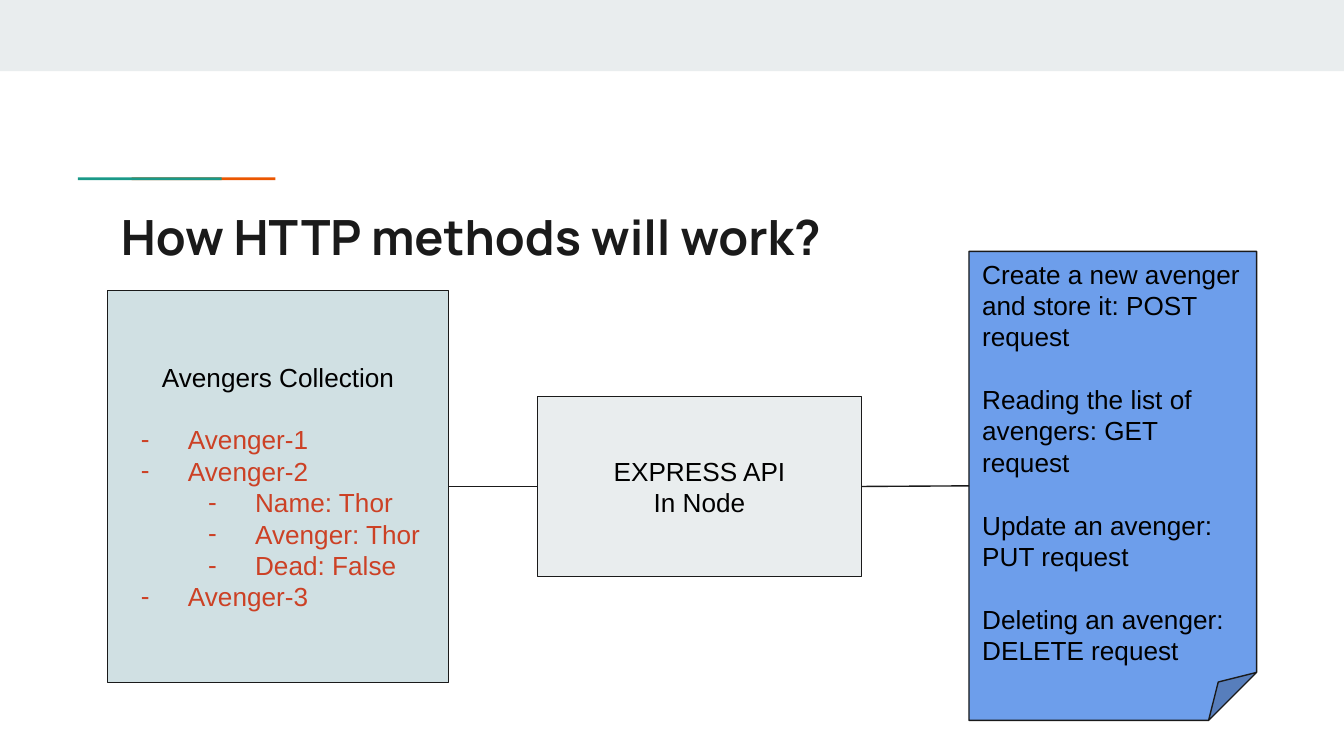
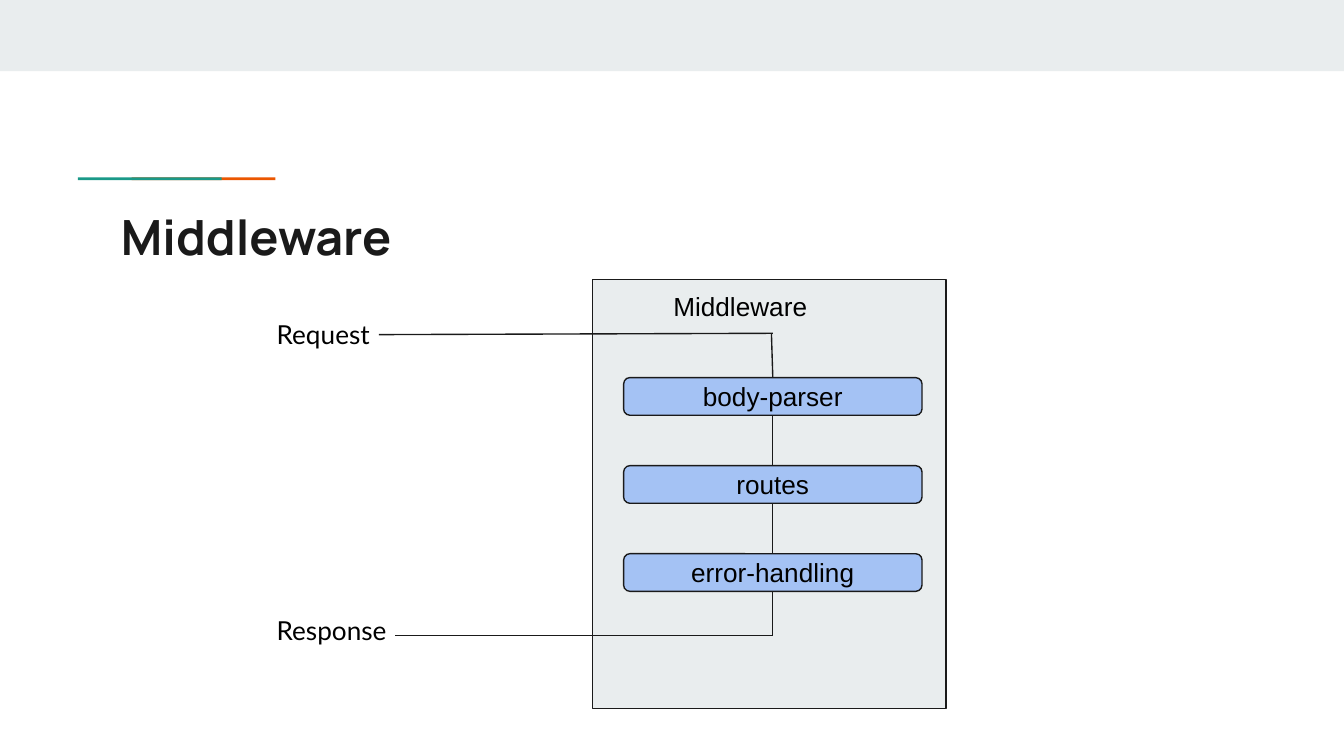
from dataclasses import dataclass
from lxml.etree import SubElement as Sub
from pptx import Presentation
from pptx.dml.color import RGBColor as RGB
from pptx.enum.shapes import MSO_CONNECTOR as Conn, MSO_SHAPE as Kind
from pptx.enum.text import MSO_ANCHOR as Anchor, MSO_AUTO_SIZE as Fit, PP_ALIGN as Align
from pptx.oxml.ns import qn
from pptx.util import Inches, Pt


@dataclass(frozen=True)
class Theme:
    ink: str = "1A1A1A"
    text: str = "000000"
    band: str = "E9EDEE"
    teal: str = "1A9988"
    orange: str = "EB5600"
    store: str = "D0E0E3"
    item: str = "CC4125"
    note: str = "6D9EEB"
    pill: str = "A4C2F4"
    head: str = "Manrope"
    body: str = "Arial"
    label: str = "Lato"
    big: float = 26
    size: float = 14
    gap: float = 16.8
    line: float = 0.75


T = Theme()


# Shared helpers
def assign(obj, **vals):
    for key, val in vals.items():
        setattr(obj, key, val)


def place(box):
    return [Inches(v) for v in box]


def frame(tf, anchor=Anchor.MIDDLE, **more):
    vals = {f"margin_{side}": Inches(0.1) for side in ("left", "right", "top", "bottom")}
    vals.update(word_wrap=True, auto_size=Fit.NONE, vertical_anchor=anchor)
    assign(tf, **{**vals, **more})
    return tf


def write(par, text, font=T.body, size=T.size, color=T.text, bold=False,
          align=Align.LEFT, gap=0):
    par.text = text
    assign(par, alignment=align, space_before=Pt(gap))
    for run in par.runs:
        assign(run.font, name=font, size=Pt(size), bold=bold)
        run.font.color.rgb = RGB.from_string(color)
    return par


def bullet(par, level):
    par.level = level
    props = par._p.get_or_add_pPr()
    props.set("marL", str(Inches(0.5 * (level + 1))))
    props.set("indent", str(Inches(-0.35)))
    Sub(Sub(props, qn("a:buClr")), qn("a:srgbClr")).set("val", T.item)
    Sub(props, qn("a:buSzPts")).set("val", str(T.size * 100))
    Sub(props, qn("a:buFont")).set("typeface", T.body)
    Sub(props, qn("a:buChar")).set("char", "-")


def block(slide, box, fill, kind=Kind.RECTANGLE, edge=True):
    shape = slide.shapes.add_shape(kind, *place(box))
    shape.shadow.inherit = False
    shape.fill.solid()
    shape.fill.fore_color.rgb = RGB.from_string(fill)
    if edge:
        shape.line.color.rgb = RGB.from_string(T.ink)
        shape.line.width = Pt(T.line)
    else:
        shape.line.fill.background()
    frame(shape.text_frame)
    return shape


def wire(slide, start=(0, 0), end=(0, 0), tail=None, tip=None):
    """Line between points, or glued to (shape, site) pairs."""
    link = slide.shapes.add_connector(Conn.STRAIGHT, *place(start + end))
    if tail:
        link.begin_connect(*tail)
    if tip:
        link.end_connect(*tip)
    link.line.color.rgb = RGB.from_string(T.ink)
    link.line.width = Pt(T.line)
    Sub(link.element.find(qn("p:spPr")), qn("a:effectLst"))


# Layout: top band and two-colour rule, behind every slide
def dress(layout, slide):
    parts = [((0, 0, 10, 0.53), T.band),
             ((0.98, 1.32, 1.07, 0.02), T.orange),
             ((0.58, 1.32, 1.07, 0.02), T.teal)]
    for spot, (box, fill) in enumerate(parts):
        shape = block(slide, box, fill, edge=False)
        layout.shapes.element.insert(2 + spot, shape.element)


def head(slide, text):
    title = slide.shapes.title
    names = ("left", "top", "width", "height")
    assign(title, **dict(zip(names, place((0.8, 1.44, 8.41, 0.59)))))
    tf = frame(title.text_frame, Anchor.TOP)
    write(tf.paragraphs[0], text, T.head, T.big, T.ink, True)


# Slide 1 regions
def store(slide, box):
    shape = block(slide, box, T.store)
    tf = shape.text_frame
    write(tf.paragraphs[0], "Avengers Collection", align=Align.CENTER)
    items = [("Avenger-1", 0), ("Avenger-2", 0), ("Name: Thor", 1),
             ("Avenger: Thor", 1), ("Dead: False", 1), ("Avenger-3", 0)]
    for spot, (text, level) in enumerate(items):
        gap = 0 if spot else T.gap
        bullet(write(tf.add_paragraph(), text, color=T.item, gap=gap), level)
    return shape


def server(slide, box):
    shape = block(slide, box, T.band)
    tf = shape.text_frame
    write(tf.paragraphs[0], "EXPRESS API", align=Align.CENTER)
    write(tf.add_paragraph(), "In Node", align=Align.CENTER)
    return shape


def note(slide, box):
    shape = block(slide, box, T.note, Kind.FOLDED_CORNER)
    tf = shape.text_frame
    lines = ["Create a new avenger and store it: POST request",
             "Reading the list of avengers: GET request",
             "Update an avenger: PUT request",
             "Deleting an avenger:\vDELETE request"]
    for spot, text in enumerate(lines):
        par = tf.add_paragraph() if spot else tf.paragraphs[0]
        write(par, text, gap=T.gap if spot else 0)
    return shape


def methods(slide):
    head(slide, "How HTTP methods will work?")
    data = store(slide, (0.8, 2.16, 2.54, 2.92))
    api = server(slide, (4, 2.95, 2.41, 1.34))
    calls = note(slide, (7.21, 1.87, 2.14, 3.49))
    wire(slide, tail=(calls, 1), tip=(api, 3))
    wire(slide, tail=(api, 1), tip=(data, 3))


# Slide 2 regions
def stack(slide, box):
    """Panel with an even column of steps; returns the steps."""
    left, top = box[:2]
    panel = block(slide, box, T.band)
    tf = frame(panel.text_frame, Anchor.TOP, margin_left=Inches(0.6),
               margin_top=Inches(0.08))
    write(tf.paragraphs[0], "Middleware")
    steps = []
    for spot, text in enumerate(["body-parser", "routes", "error-handling"]):
        pill = block(slide, (left + 0.23, top + 0.73 + spot * 1.31 / 2, 2.22, 0.28),
                     T.pill, Kind.ROUNDED_RECTANGLE)
        write(pill.text_frame.paragraphs[0], text, align=Align.CENTER)
        steps.append(pill)
    return steps


def label(slide, box, text):
    tf = frame(slide.shapes.add_textbox(*place(box)).text_frame, Anchor.TOP)
    write(tf.paragraphs[0], text, T.label)


def chain(slide):
    head(slide, "Middleware")
    steps = stack(slide, (4.41, 2.08, 2.63, 3.19))
    mid, low = 5.75, 4.73
    # Request in, down the steps, response out
    wire(slide, (2.82, 2.49), (mid, 2.48))
    wire(slide, (mid - 0.01, 2.48), tip=(steps[0], 0))
    wire(slide, tail=(steps[0], 2), tip=(steps[1], 0))
    wire(slide, tail=(steps[2], 0), tip=(steps[1], 2))
    wire(slide, end=(mid, low), tail=(steps[2], 2))
    wire(slide, (mid, low), (2.94, low))
    label(slide, (1.96, 2.27, 1.45, 0.28), "Request")
    label(slide, (1.96, 4.47, 1.13, 0.28), "Response")


# Deck: widescreen, 16 by 9
deck = Presentation()
wide = Inches(10)
assign(deck, slide_width=wide, slide_height=wide * 9 // 16)
layout = deck.slide_layouts[5]
for spot, build in enumerate((methods, chain)):
    slide = deck.slides.add_slide(layout)
    if spot == 0:
        dress(layout, slide)
    build(slide)
deck.save("out.pptx")
